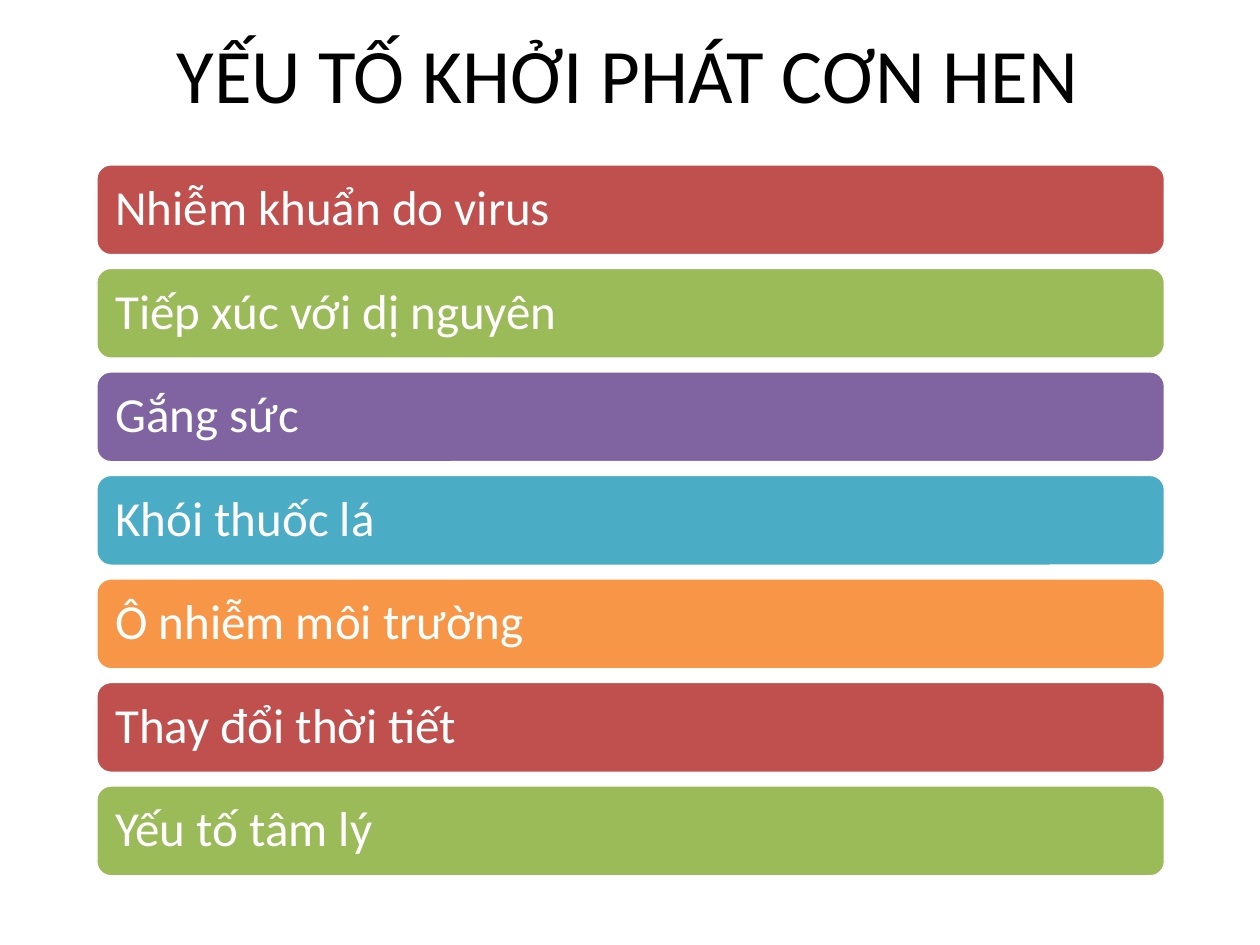
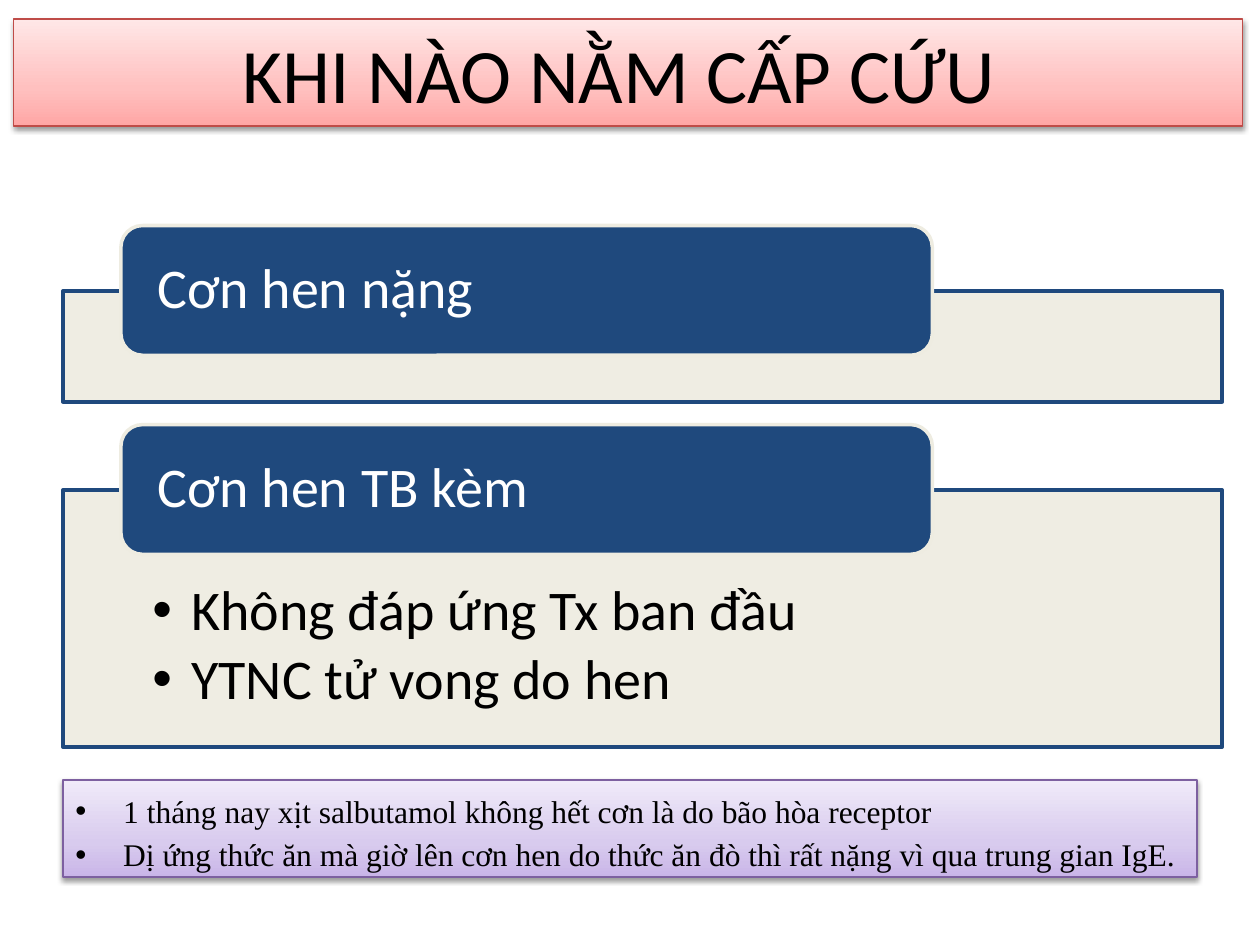
from lxml import etree
from pptx import Presentation
from pptx.dml.color import RGBColor
from pptx.enum.shapes import MSO_SHAPE
from pptx.enum.text import MSO_ANCHOR, PP_ALIGN
from pptx.oxml.ns import qn
from pptx.util import Inches, Pt

RECT, ROUNDED = MSO_SHAPE.RECTANGLE, MSO_SHAPE.ROUNDED_RECTANGLE
TOP, MIDDLE = MSO_ANCHOR.TOP, MSO_ANCHOR.MIDDLE
LEFT, CENTER, JUSTIFY = PP_ALIGN.LEFT, PP_ALIGN.CENTER, PP_ALIGN.JUSTIFY

BLACK = RGBColor(0x00, 0x00, 0x00)
WHITE = RGBColor(0xFF, 0xFF, 0xFF)
NAVY = RGBColor(0x1F, 0x49, 0x7D)
CREAM = RGBColor(0xEE, 0xEC, 0xE1)
RED = RGBColor(0xC0, 0x50, 0x4D)
GREEN = RGBColor(0x9B, 0xBB, 0x59)
PURPLE = RGBColor(0x80, 0x64, 0xA2)
TEAL = RGBColor(0x4B, 0xAC, 0xC6)
ORANGE = RGBColor(0xF7, 0x96, 0x46)
ROSE_LINE = RGBColor(0xBF, 0x4C, 0x48)
LILAC_LINE = RGBColor(0x7D, 0x60, 0xA0)
ROSE_STOPS = (
    (0, RGBColor(0xFF, 0xA6, 0xA5)),
    (35, RGBColor(0xFF, 0xC0, 0xBF)),
    (100, RGBColor(0xFF, 0xE7, 0xE7)),
)
LILAC_STOPS = (
    (0, RGBColor(0xC9, 0xB5, 0xE8)),
    (35, RGBColor(0xD8, 0xCB, 0xEE)),
    (100, RGBColor(0xF0, 0xEA, 0xF9)),
)

BODY_FONT, NOTE_FONT = "Calibri", "Times New Roman"
TITLE_AREA = (0.11, 0.15, 9.75, 0.85)
TRIGGER_COLORS = (RED, GREEN, PURPLE, TEAL, ORANGE)
TRIGGERS = (
    "Nhiễm khuẩn do virus",
    "Tiếp xúc với dị nguyên",
    "Gắng sức",
    "Khói thuốc lá",
    "Ô nhiễm môi trường",
    "Thay đổi thời tiết",
    "Yếu tố tâm lý",
)
FIRST_BAR_TOP, LAST_BAR_TOP = 1.3, 6.23
CRITERIA = (
    ("Cơn hen nặng", 2.31, 0.88, ()),
    ("Cơn hen TB kèm", 3.89, 2.04,
     ("Không đáp ứng Tx ban đầu", "YTNC tử vong do hen")),
)
HEADING_RISE = 0.52
NOTES = (
    "1 tháng nay xịt salbutamol không hết cơn là do bão hòa receptor",
    "Dị ứng thức ăn mà giờ lên cơn hen do thức ăn đò thì rất nặng vì qua trung gian IgE.",
)


def add_child(parent, tag, **attributes):
    child = etree.SubElement(parent, qn(tag))
    for key, value in attributes.items():
        child.set(key, str(value))
    return child


def add_bullet(paragraph, indent):
    properties = paragraph._p.get_or_add_pPr()
    properties.set("marL", str(Inches(indent)))
    properties.set("indent", str(-Inches(indent)))
    add_child(properties, "a:buFont", typeface="Arial")
    add_child(properties, "a:buChar", char="•")


def write_text(shape, *lines, size, color=BLACK, font=BODY_FONT, align=LEFT,
               anchor=MIDDLE, margins=(0.1, 0.05, 0.1, 0.05), spacing=None,
               after=0, bullet_indent=None):
    frame = shape.text_frame
    frame.word_wrap = True
    frame.vertical_anchor = anchor
    (frame.margin_left, frame.margin_top,
     frame.margin_right, frame.margin_bottom) = map(Inches, margins)
    for index, line in enumerate(lines):
        paragraph = frame.add_paragraph() if index else frame.paragraphs[0]
        paragraph.alignment = align
        paragraph.line_spacing = spacing
        paragraph.space_after = Pt(after)
        if bullet_indent:
            add_bullet(paragraph, bullet_indent)
        run = paragraph.add_run()
        run.text = line
        run.font.name = font
        run.font.size = Pt(size)
        run.font.color.rgb = color


def add_panel(slide, kind, area, fill, line, line_width=2):
    panel = slide.shapes.add_shape(kind, *map(Inches, area))
    panel.shadow.inherit = False
    panel.fill.solid()
    panel.fill.fore_color.rgb = fill
    panel.line.color.rgb = line
    panel.line.width = Pt(line_width)
    return panel


def set_opacity(panel, percent):
    color = panel._element.spPr.find(qn("a:solidFill"))[0]
    add_child(color, "a:alpha", val=percent * 1000)


def add_gradient_panel(slide, area, stops, line):
    panel = add_panel(slide, RECT, area, stops[0][1], line, 0.75)
    panel.fill.gradient()
    panel.fill.gradient_angle = 90
    properties = panel._element.spPr
    stop_list = properties.find(qn("a:gradFill")).find(qn("a:gsLst"))
    for stop in list(stop_list):
        stop_list.remove(stop)
    for position, color in stops:
        stop = add_child(stop_list, "a:gs", pos=position * 1000)
        add_child(stop, "a:srgbClr", val=color)
    shadow = add_child(properties.find(qn("a:effectLst")), "a:outerShdw",
                       blurRad=Pt(3.1), dist=Pt(1.6), dir=90 * 60000, rotWithShape=0)
    add_child(add_child(shadow, "a:srgbClr", val=BLACK), "a:alpha", val=38000)
    return panel


def write_title(shape, title):
    write_text(shape, title, size=44, align=CENTER)


def add_trigger_bars(slide):
    pitch = (LAST_BAR_TOP - FIRST_BAR_TOP) / (len(TRIGGERS) - 1)
    for index, trigger in enumerate(TRIGGERS):
        color = TRIGGER_COLORS[index % len(TRIGGER_COLORS)]
        area = (0.76, FIRST_BAR_TOP + index * pitch, 8.49, 0.73)
        bar = add_panel(slide, ROUNDED, area, color, WHITE)
        write_text(bar, trigger, size=28, color=WHITE, spacing=0.9, margins=(0.12,) * 4)


def add_criterion(slide, heading, top, height, details):
    frame = add_panel(slide, RECT, (0.5, top, 9.2, height), CREAM, NAVY)
    set_opacity(frame, 90)
    if details:
        write_text(frame, *details, size=32, anchor=TOP, spacing=0.9, after=5,
                   margins=(0.71, 0.73, 0.71, 0.25), bullet_indent=0.31)
    tab = add_panel(slide, ROUNDED, (0.96, top - HEADING_RISE, 6.44, 1.03), NAVY, CREAM)
    write_text(tab, heading, size=32, color=WHITE, spacing=0.9, margins=(0.24, 0, 0.24, 0))


def add_notes_box(slide):
    box = add_gradient_panel(slide, (0.5, 6.19, 9, 0.77), LILAC_STOPS, LILAC_LINE)
    write_text(box, *NOTES, size=18, font=NOTE_FONT, align=JUSTIFY, anchor=TOP,
               spacing=1.15, bullet_indent=0.38)


def main():
    deck = Presentation()
    deck.slide_width, deck.slide_height = Inches(10), Inches(7.5)
    blank = deck.slide_layouts[6]

    triggers = deck.slides.add_slide(blank)
    write_title(triggers.shapes.add_textbox(*map(Inches, TITLE_AREA)),
                "YẾU TỐ KHỞI PHÁT CƠN HEN")
    add_trigger_bars(triggers)

    emergency = deck.slides.add_slide(blank)
    write_title(add_gradient_panel(emergency, TITLE_AREA, ROSE_STOPS, ROSE_LINE),
                "KHI NÀO NẰM CẤP CỨU ")
    for criterion in CRITERIA:
        add_criterion(emergency, *criterion)
    add_notes_box(emergency)

    deck.save("out.pptx")


if __name__ == "__main__":
    main()
